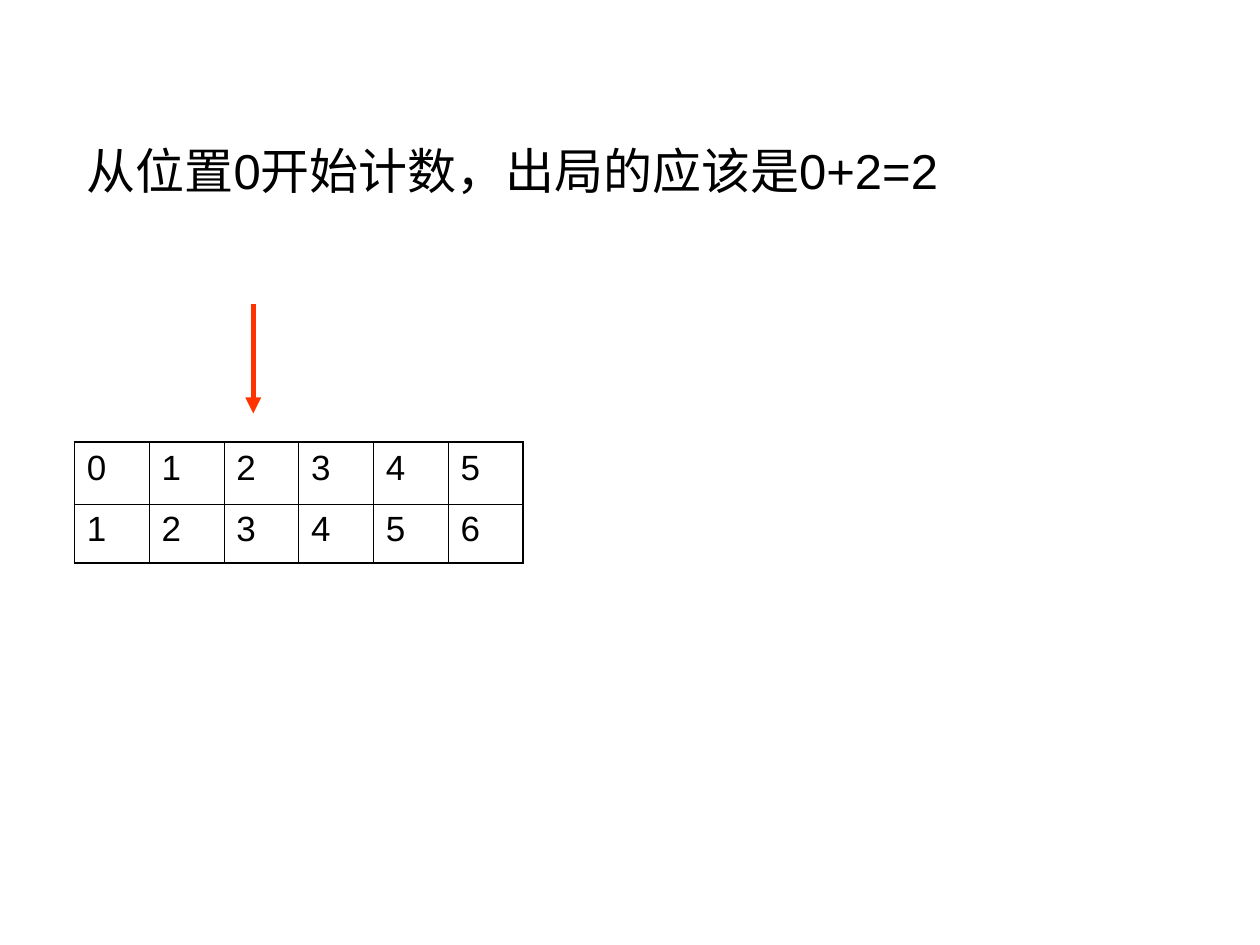
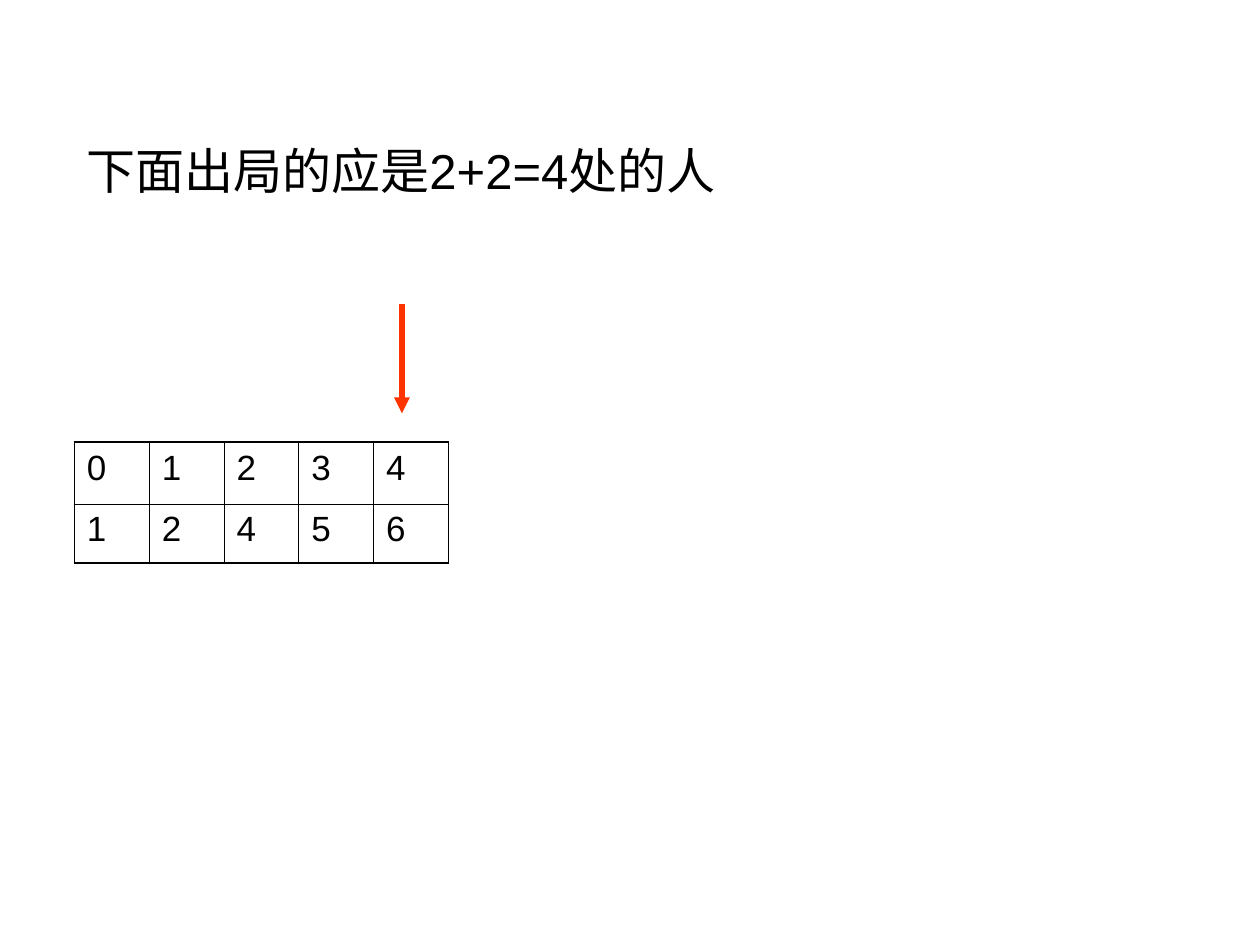
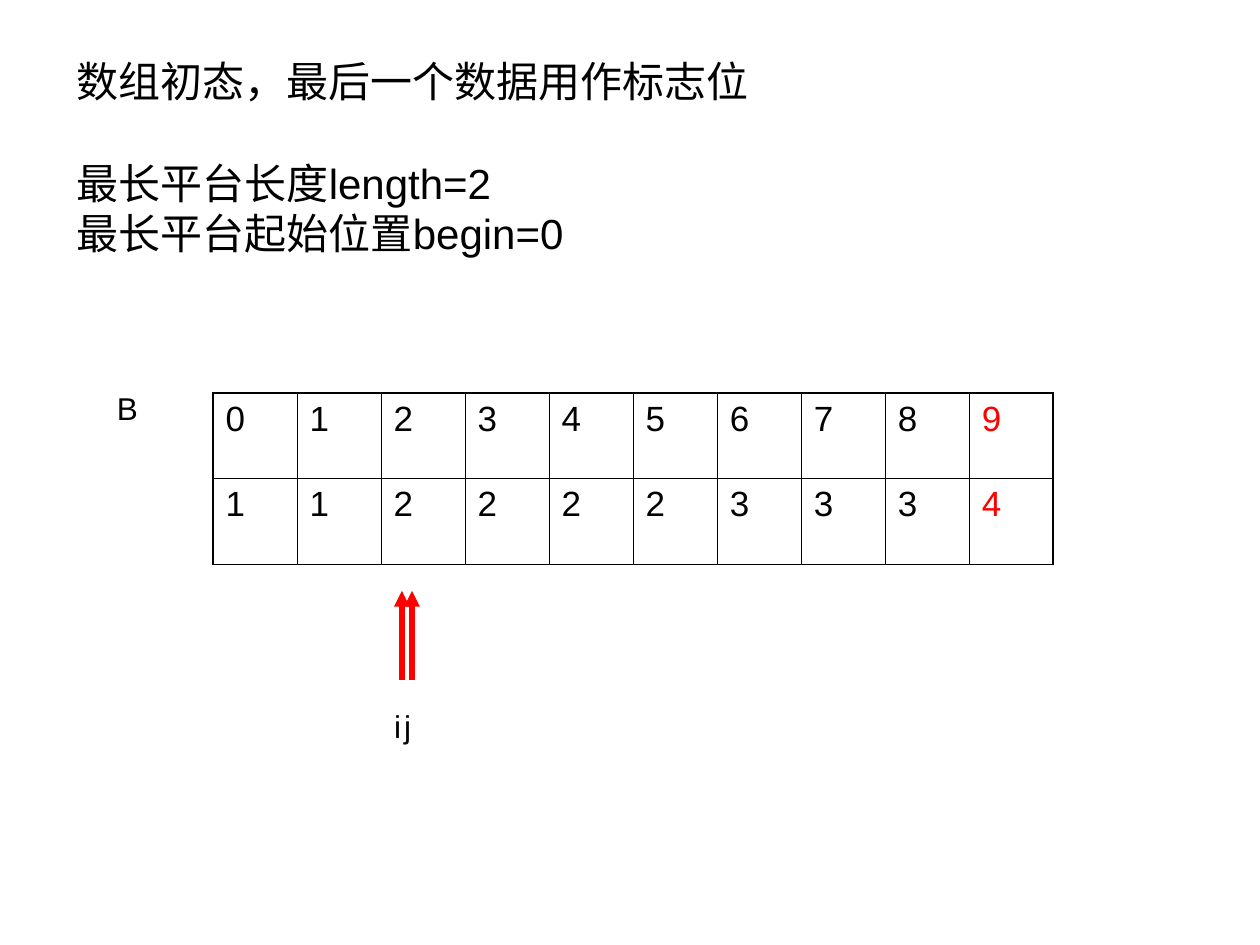
from lxml import etree
from pptx import Presentation
from pptx.dml.color import RGBColor as RGB
from pptx.enum.shapes import MSO_CONNECTOR as LINE
from pptx.enum.text import MSO_ANCHOR as ANCHOR, MSO_AUTO_SIZE as AUTO, PP_ALIGN as ALIGN
from pptx.oxml.ns import qn
from pptx.util import Inches, Pt

BLACK = RGB(0x00, 0x00, 0x00)
RED = RGB(0xFF, 0x00, 0x00)
ORANGE = RGB(0xFF, 0x33, 0x00)
FONT = "Arial"
THIN, THICK = Pt(0.45), Pt(1.08)


def write(frame, text, size=20, color=BLACK, before=0, gaps=None):
    """Fill a frame, one paragraph a line; gaps gives space before by line."""
    for i, line in enumerate(text.split("\n")):
        para = frame.paragraphs[0] if i == 0 else frame.add_paragraph()
        para.alignment = ALIGN.LEFT
        para.space_before = Pt((gaps or {}).get(i, before))
        run = para.add_run()
        run.text = line
        run.font.name = FONT
        run.font.size = Pt(size)
        run.font.color.rgb = color


def edge(cell, side, width):
    """Draw one black border of a cell."""
    line = etree.SubElement(cell._tc.get_or_add_tcPr(), qn("a:ln" + side), w=str(width))
    fill = etree.SubElement(line, qn("a:solidFill"))
    etree.SubElement(fill, qn("a:srgbClr"), val=str(BLACK))


class Deck:
    def __init__(self):
        self.prs = Presentation()
        self.prs.slide_width = Inches(10)
        self.prs.slide_height = Inches(7.5)
        self.slide = None

    def start(self):
        self.slide = self.prs.slides.add_slide(self.prs.slide_layouts[5])

    def title(self, text, left=0.59, top=0.76, height=1.18, size=28, gaps=None):
        box = self.slide.shapes.title
        box.left, box.top = Inches(left), Inches(top)
        box.width, box.height = Inches(8.5), Inches(height)
        frame = box.text_frame
        frame.auto_size = AUTO.NONE
        frame.vertical_anchor = ANCHOR.MIDDLE
        write(frame, text, size=size, gaps=gaps)

    def array(self, values, left, top, width, heights, flag=None):
        """Indices above values; the flag column is red."""
        count = len(values)
        shape = self.slide.shapes.add_table(
            2, count, Inches(left), Inches(top), Inches(width), Inches(sum(heights)))
        table = shape.table
        table.first_row = table.horz_banding = False
        for col in table.columns:
            col.width = Inches(width / count)
        for r, texts in enumerate((range(count), values)):
            table.rows[r].height = Inches(heights[r])
            for c, text in enumerate(texts):
                cell = table.cell(r, c)
                write(cell.text_frame, str(text), before=5,
                      color=RED if c == flag else BLACK)
                outer = {"L": c == 0, "R": c == count - 1, "T": r == 0, "B": r == 1}
                for side, edged in outer.items():
                    edge(cell, side, THICK if edged else THIN)
                cell.fill.background()

    def arrow(self, x, start, end, color, shapes=None):
        shapes = shapes or self.slide.shapes
        link = shapes.add_connector(
            LINE.STRAIGHT, Inches(x), Inches(start), Inches(x), Inches(end))
        link.line.color.rgb = color
        link.line.width = Pt(3)
        etree.SubElement(link.line._get_or_add_ln(), qn("a:tailEnd"), type="triangle")
        etree.SubElement(link._element.spPr, qn("a:effectLst"))

    def label(self, text, left, top, width, shapes=None):
        shapes = shapes or self.slide.shapes
        box = shapes.add_textbox(Inches(left), Inches(top), Inches(width), Inches(0.4))
        box.text_frame.word_wrap = True
        box.text_frame.auto_size = AUTO.SHAPE_TO_FIT_TEXT
        write(box.text_frame, text, size=18, before=11.2)

    def pointer(self, name, x):
        """An upward arrow grouped with the name below it."""
        shapes = self.slide.shapes.add_group_shape().shapes
        self.arrow(x, 5.4, 4.69, RED, shapes)
        self.label(name, x - 0.16, 5.56, 0.31, shapes)


def main():
    deck = Deck()

    # Counting out: title, remaining people, arrow position
    rounds = [
        ("从位置0开始计数，出局的应该是0+2=2", [1, 2, 3, 4, 5, 6], 3.56, 2.01),
        ("下面出局的应是2+2=4处的人", [1, 2, 4, 5, 6], 2.97, 3.19),
    ]
    for text, people, width, x in rounds:
        deck.start()
        deck.title(text)
        deck.array(people, 0.59, 3.51, width, (0.49, 0.47))
        deck.arrow(x, 2.41, 3.28, ORANGE)

    # Longest plateau: first state of the array
    deck.start()
    deck.title("数组初态，最后一个数据用作标志位\n最长平台长度length=2\n最长平台起始位置begin=0",
               left=0.51, top=0.44, height=1.61, size=24, gaps={1: 29})
    deck.array([1, 1, 2, 2, 2, 2, 3, 3, 3, 4], 1.69, 3.12, 6.67, (0.68, 0.68), flag=9)
    deck.label("B", 0.83, 3.04, 0.63)
    for name, x in (("i", 3.19), ("j", 3.27)):
        deck.pointer(name, x)

    deck.prs.save("out.pptx")


if __name__ == "__main__":
    main()
